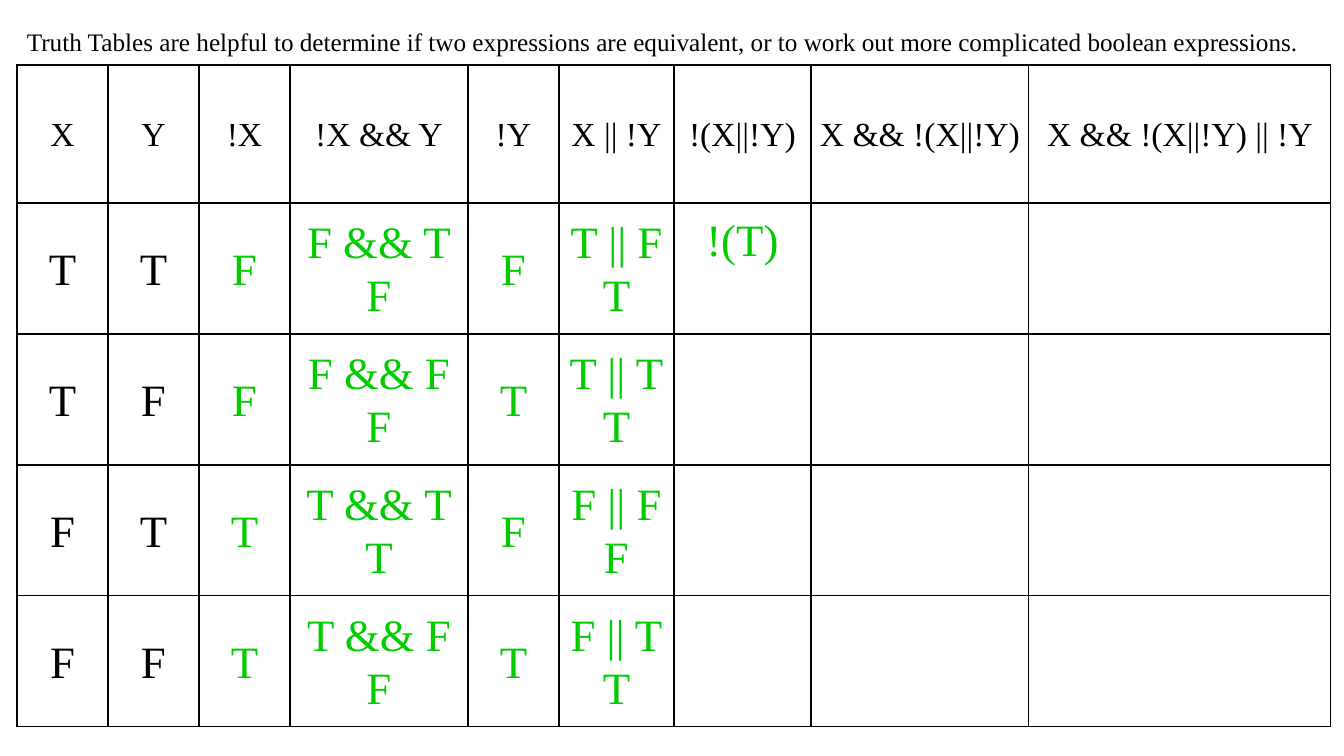
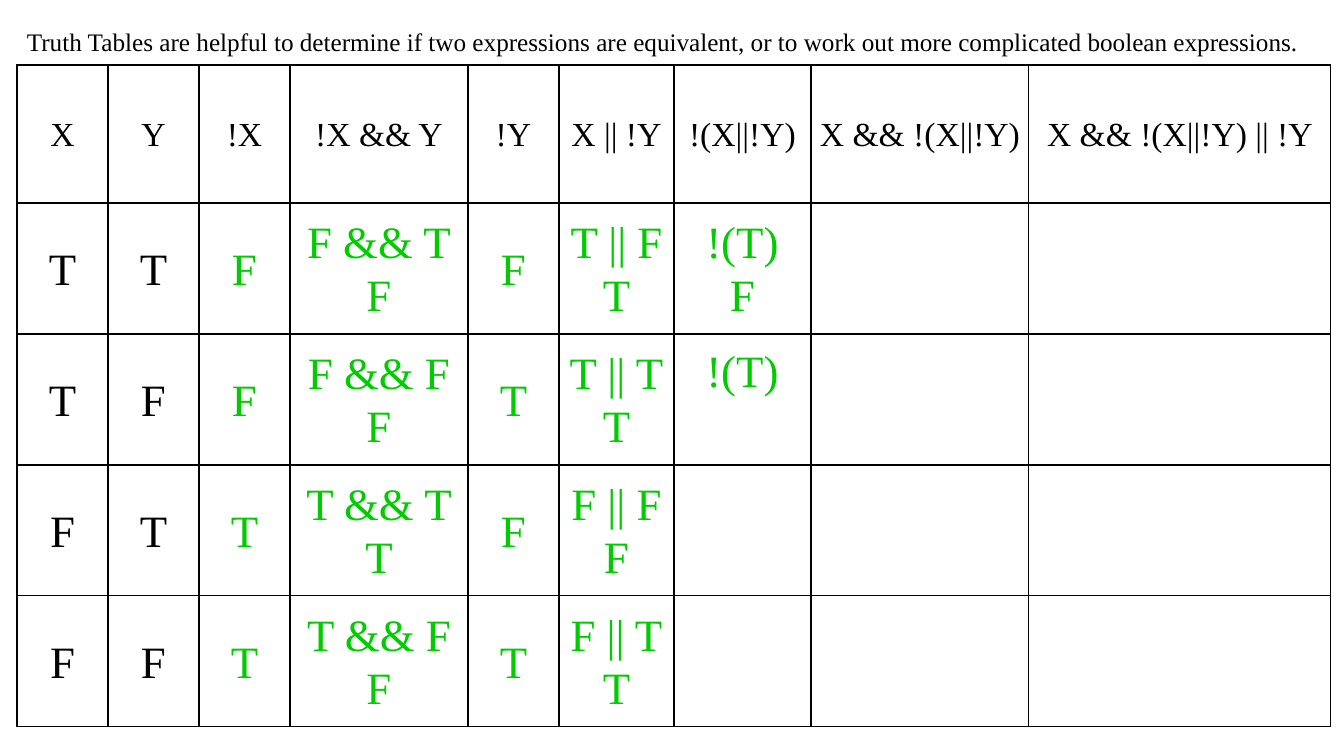
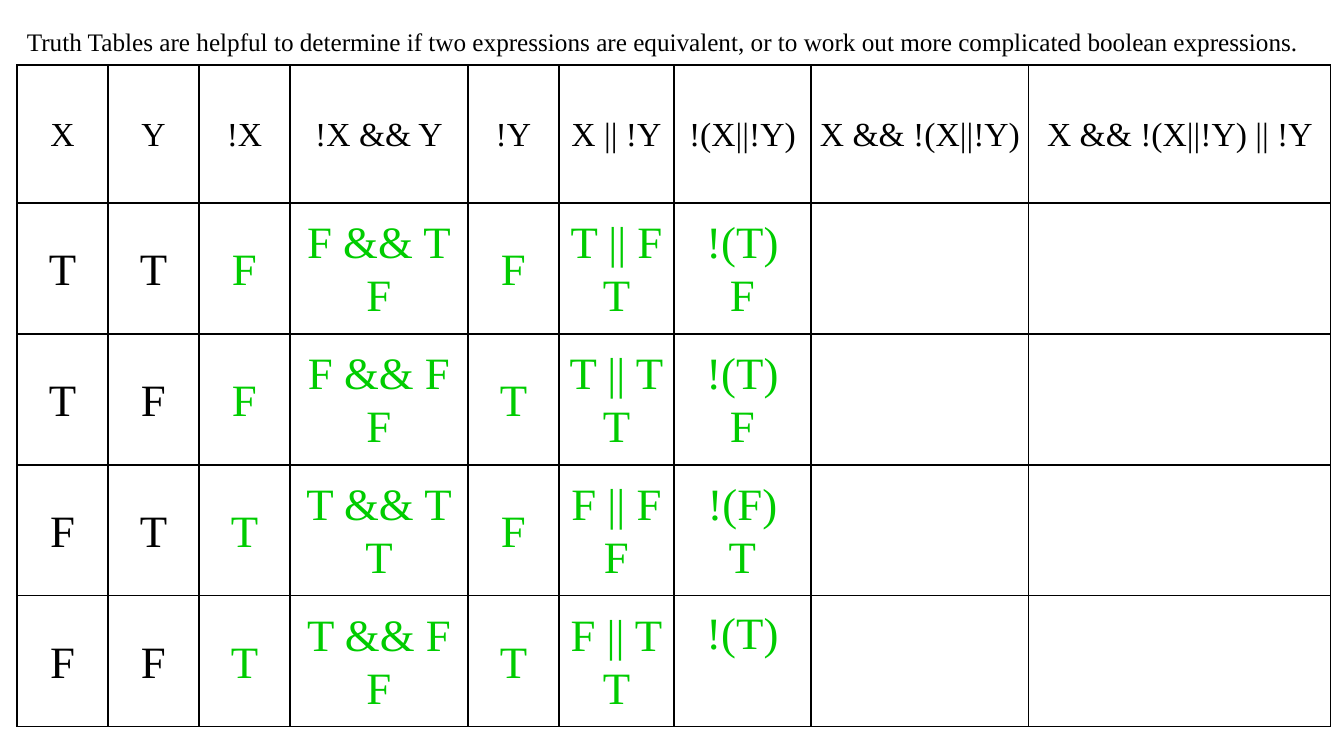
from dataclasses import dataclass
from itertools import product

from lxml.etree import SubElement
from pptx import Presentation
from pptx.dml.color import RGBColor
from pptx.enum.text import MSO_ANCHOR, MSO_AUTO_SIZE, PP_ALIGN
from pptx.oxml.ns import qn
from pptx.util import Emu, Pt


@dataclass(frozen=True)
class Theme:
    font: str = "Times New Roman"
    ink: str = "000000"
    worked: str = "00CC00"
    intro_size: int = 18
    head_size: int = 24
    value_size: int = 32
    spacing: float = 1.07
    border: int = 1


THEME = Theme()
INTRO = (
    "Truth Tables are helpful to determine if two expressions are equivalent, "
    "or to work out more complicated boolean expressions."
)
HEADS = [
    "X", "Y", "!X", "!X && Y", "!Y", "X || !Y", "!(X||!Y)",
    "X && !(X||!Y)", "X && !(X||!Y) || !Y",
]
COL_WIDTHS = [91, 91, 91, 178, 91, 115, 137, 218, 302]
ROW_HEIGHTS = [138] + [131] * 4
GIVEN_COLUMNS = 2
NEGATION_COLUMN = HEADS.index("!(X||!Y)")
STEPS_SHOWN = [1, 3, 7]
SIDE_INSET = 7
PENDING_LINE = 57


def px(n):
    return Emu(round(n * 914400 / 100.8))


def letter(value):
    return "T" if value else "F"


def format_text(tf, size, color, align):
    for p in tf.paragraphs:
        p.alignment = align
        p.line_spacing = THEME.spacing
        for r in p.runs:
            r.font.name = THEME.font
            r.font.size = Pt(size)
            r.font.color.rgb = RGBColor.from_string(color)


def add_intro(s):
    tf = s.shapes.add_textbox(px(17), px(19), px(1310), px(41)).text_frame
    tf.word_wrap = True
    tf.auto_size = MSO_AUTO_SIZE.SHAPE_TO_FIT_TEXT
    tf.text = INTRO
    format_text(tf, THEME.intro_size, THEME.ink, PP_ALIGN.LEFT)


def add_borders(cell):
    tc_pr = cell._tc.get_or_add_tcPr()
    for side in ("lnL", "lnR", "lnT", "lnB"):
        ln = SubElement(tc_pr, qn(f"a:{side}"), w=str(Pt(THEME.border)))
        fill = SubElement(ln, qn("a:solidFill"))
        SubElement(fill, qn("a:srgbClr"), val=THEME.ink)


def fill_cell(cell, text, size, color, pending=False):
    cell.margin_left = cell.margin_right = px(SIDE_INSET)
    cell.margin_top = 0
    cell.margin_bottom = px(PENDING_LINE if pending else 0)
    cell.vertical_anchor = MSO_ANCHOR.MIDDLE
    cell.text_frame.text = text
    format_text(cell.text_frame, size, color, PP_ALIGN.CENTER)
    add_borders(cell)
    cell.fill.background()


def truth_row(x, y, steps):
    either = x or not y
    negation = [f"!({letter(either)})", letter(not either)]
    return [
        letter(x),
        letter(y),
        letter(not x),
        f"{letter(not x)} && {letter(y)}\n{letter(not x and y)}",
        letter(not y),
        f"{letter(x)} || {letter(not y)}\n{letter(either)}",
        "\n".join(negation[:steps]),
        "",
        "",
    ]


def add_truth_table(s, steps_shown):
    table = s.shapes.add_table(
        len(ROW_HEIGHTS), len(HEADS), px(17), px(65),
        px(sum(COL_WIDTHS)), px(sum(ROW_HEIGHTS)),
    ).table
    table.first_row = table.horz_banding = False
    for column, width in zip(table.columns, COL_WIDTHS):
        column.width = px(width)
    for row, height in zip(table.rows, ROW_HEIGHTS):
        row.height = px(height)
    for col, head in enumerate(HEADS):
        fill_cell(table.cell(0, col), head, THEME.head_size, THEME.ink)
    for i, (x, y) in enumerate(product([True, False], repeat=2)):
        steps = min(2, max(0, steps_shown - 2 * i))
        for col, text in enumerate(truth_row(x, y, steps)):
            color = THEME.ink if col < GIVEN_COLUMNS else THEME.worked
            pending = col == NEGATION_COLUMN and steps == 1
            fill_cell(table.cell(i + 1, col), text, THEME.value_size, color, pending)


def main():
    prs = Presentation()
    prs.slide_width, prs.slide_height = px(1344), px(756)
    for steps_shown in STEPS_SHOWN:
        s = prs.slides.add_slide(prs.slide_layouts[6])
        add_intro(s)
        add_truth_table(s, steps_shown)
    prs.save("out.pptx")


if __name__ == "__main__":
    main()
